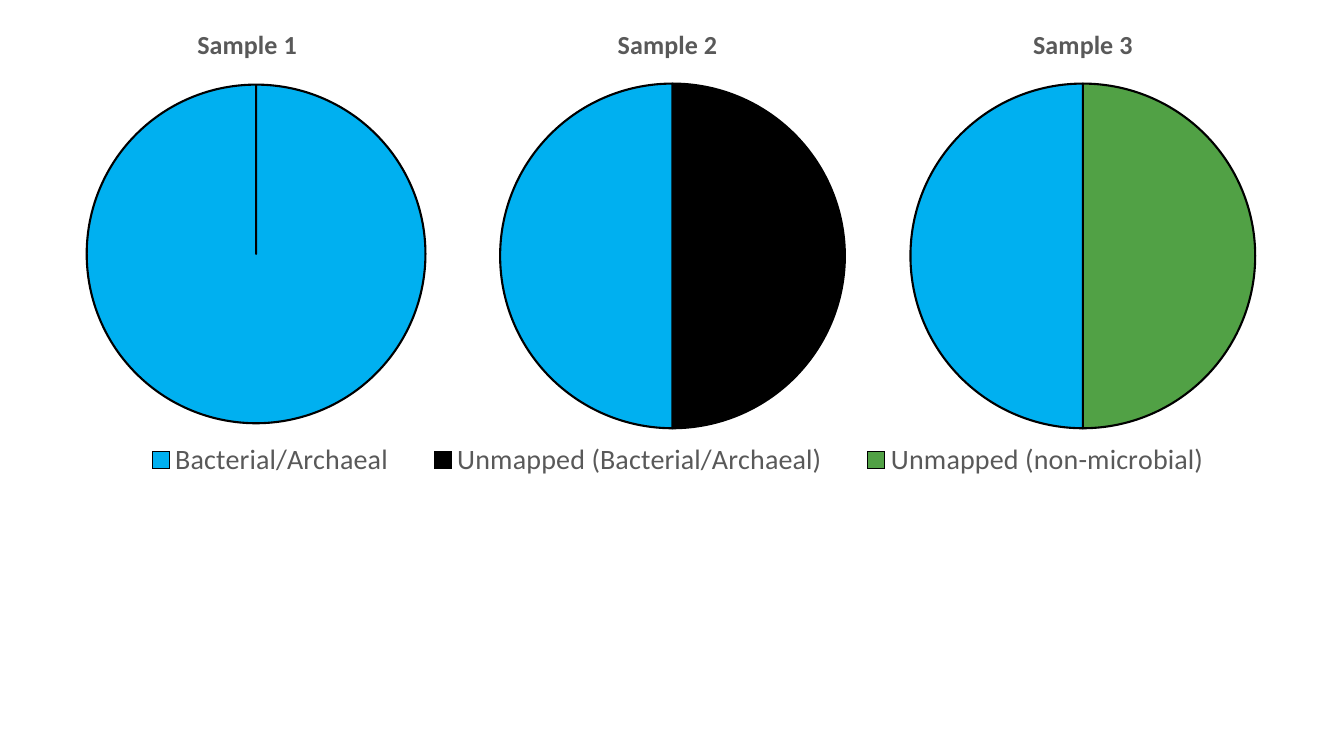
from lxml.etree import SubElement
from pptx import Presentation
from pptx.chart.data import CategoryChartData as ChartData
from pptx.dml.color import RGBColor as Rgb
from pptx.enum.chart import XL_CHART_TYPE as ChartType, XL_LEGEND_POSITION as LegendPosition
from pptx.oxml import parse_xml
from pptx.oxml.ns import nsdecls, qn
from pptx.util import Inches, Pt

WIDTH, HEIGHT = 13.33, 7.5
FONT = "Calibri"
COLORS = {
    "bacterial": "00B0F0",
    "unmapped": "000000",
    "non_microbial": "51A145",
    "outline": "000000",
    "text": "595959",
}
LEGEND_NAMES = ["Bacterial/Archaeal", "Unmapped (Bacterial/Archaeal)", "Unmapped (non-microbial)"]
TITLE_TOP = 0.21


def color(name):
    return Rgb.from_string(COLORS[name])


def style_font(font, size, bold=False):
    font.name = FONT
    font.size = Pt(size)
    font.bold = bold
    font.color.rgb = color("text")


def set_layout(element, index, inner=False, **shares):
    for old in element.findall(qn("c:layout")):
        element.remove(old)
    layout = parse_xml(f"<c:layout {nsdecls('c')}><c:manualLayout/></c:layout>")
    manual = layout[0]
    if inner:
        SubElement(manual, qn("c:layoutTarget")).set("val", "inner")
    for axis in "xy":
        SubElement(manual, qn(f"c:{axis}Mode")).set("val", "edge")
    for key, share in shares.items():
        SubElement(manual, qn(f"c:{key}")).set("val", f"{share:.4f}")
    element.insert(index, layout)


def clear_background(chart):
    space = chart._chartSpace
    fill = parse_xml(
        f"<c:spPr {nsdecls('c', 'a')}><a:noFill/><a:ln><a:noFill/></a:ln></c:spPr>"
    )
    space.find(qn("c:chart")).addnext(fill)


def add_pie(page, title, frame, circle, title_left, names, values, slices):
    left, top, width, height = frame
    center_x, center_y, radius = circle
    data = ChartData()
    data.categories = names
    data.add_series("Series 1", values)
    chart = page.shapes.add_chart(ChartType.PIE, *map(Inches, frame), data).chart
    clear_background(chart)
    style_font(chart.font, 10)
    chart.has_legend = False

    chart.has_title = True
    para = chart.chart_title.text_frame.paragraphs[0]
    span = para.add_run()
    span.text = title
    style_font(span.font, 18.6, bold=True)
    set_layout(chart.chart_title._element, 1,
               x=(title_left - left) / width, y=(TITLE_TOP - top) / height)

    plot = chart.plots[0]
    plot.vary_by_categories = True
    set_layout(chart._chartSpace.find(".//" + qn("c:plotArea")), 0, inner=True,
               x=(center_x - radius - left) / width, y=(center_y - radius - top) / height,
               w=2 * radius / width, h=2 * radius / height)
    series = plot.series[0]
    for index, name in enumerate(slices):
        look = series.points[index].format
        look.fill.solid()
        look.fill.fore_color.rgb = color(name)
        look.line.color.rgb = color("outline")
        look.line.width = Pt(1.5)
    return chart


def add_legend(chart, **shares):
    chart.has_legend = True
    legend = chart.legend
    legend.position = LegendPosition.BOTTOM
    legend.include_in_layout = False
    style_font(legend.font, 20)
    set_layout(legend._element, 1, **shares)


def main():
    deck = Presentation()
    deck.slide_width, deck.slide_height = Inches(WIDTH), Inches(HEIGHT)
    page = deck.slides.add_slide(deck.slide_layouts[6])

    top = 0.13
    add_pie(page, "Sample 3", (8.5, top, 4.5, 4.27), (10.74, 2.54, 1.71), 10.2,
            ["1", "2"], [50, 50], ["non_microbial", "bacterial"])
    shared = add_pie(page, "Sample 1", (0, top, WIDTH, 4.74), (2.54, 2.52, 1.68), 1.91,
                     LEGEND_NAMES, [100, 0, 0], ["bacterial", "unmapped", "non_microbial"])
    add_legend(shared, x=0.086, y=0.89, w=0.837, h=0.09)
    add_pie(page, "Sample 2", (4.19, top, 4.95, 4.27), (6.67, 2.54, 1.71), 6.08,
            ["1", "2"], [50, 50], ["unmapped", "bacterial"])
    deck.save("out.pptx")


if __name__ == "__main__":
    main()
